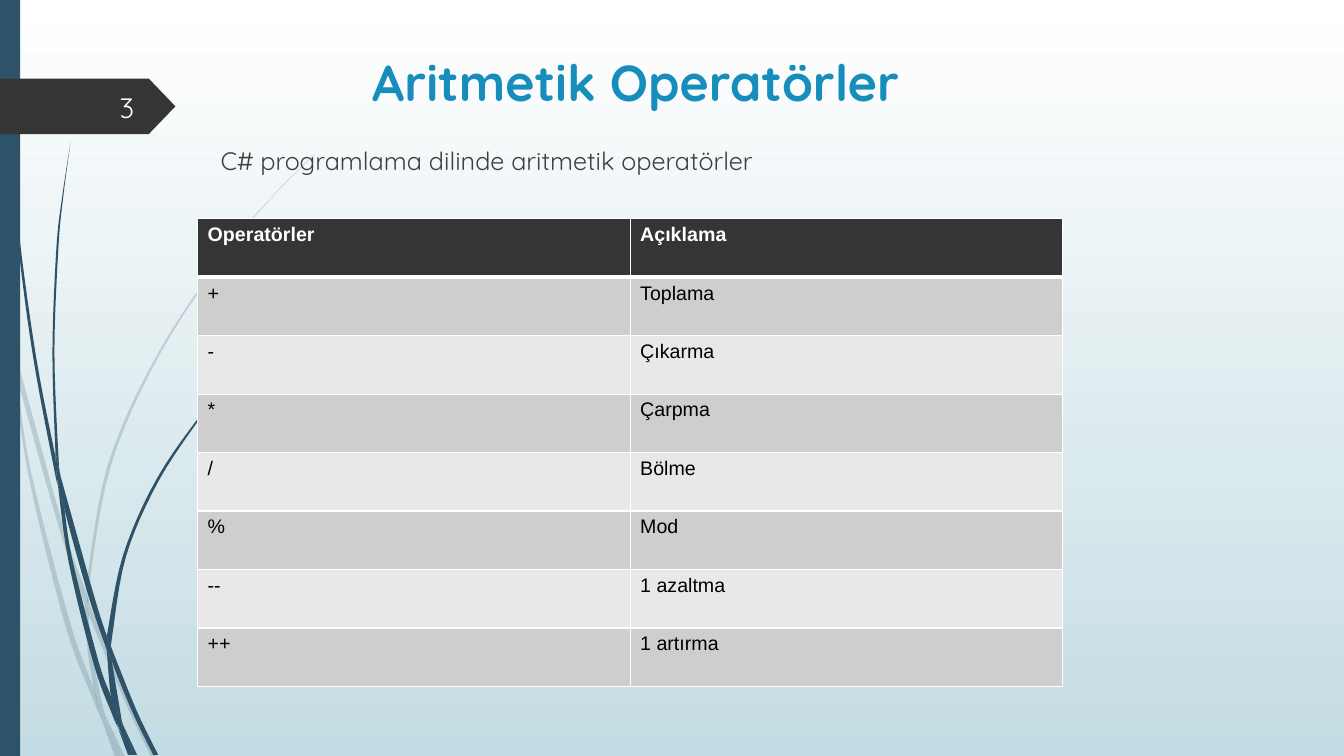
from lxml import etree
from pptx import Presentation
from pptx import util as u
from pptx.dml.color import RGBColor
from pptx.enum import shapes, text
from pptx.oxml.ns import qn

NAVY = RGBColor(0x2E, 0x53, 0x69)
DARK = RGBColor(0x35, 0x35, 0x35)
BLUE = RGBColor(0x16, 0x8D, 0xBA)
GREY = RGBColor(0x3F, 0x3F, 0x3F)
PALE = RGBColor(0xFE, 0xFF, 0xFF)
MIST = RGBColor(0xC4, 0xDC, 0xE3)
WHITE = RGBColor(0xFF, 0xFF, 0xFF)
BLACK = RGBColor(0, 0, 0)
BANDS = (RGBColor(0xCE, 0xCE, 0xCE), RGBColor(0xE8, 0xE8, 0xE8))
FONT = "Quicksand"

# Each blade of grass is a list of edges; each edge is a smooth run of points.
FAINT = [
    [[(0.11, 3.5), (0.09, 3.22), (0, 2.82)], [(0, 2.99), (0.1, 3.44)]],
    [[(0.14, 3.45), (0.62, 5.2), (0.85, 5.86)],
     [(0.84, 5.99), (0.58, 5.22), (0.17, 3.76)]],
    [[(0.88, 6.1), (1.23, 6.94), (1.5, 7.51)],
     [(1.55, 7.51), (1.27, 6.92), (0.92, 6.07), (0.88, 5.96)]],
    [[(1.19, 7.51), (1.24, 7.51)], [(1.05, 7.11)]],
    [[(0.11, 3.5), (0.28, 4.7), (0.65, 6.21), (0.92, 6.93), (1.01, 7.14)],
     [(0.99, 7.07), (0.93, 6.83), (0.7, 6.19), (0.31, 4.69), (0.17, 3.76)]],
    [[(0.84, 5.99), (0.87, 6.46), (0.93, 6.83)],
     [(0.96, 6.92), (1.05, 7.11)],
     [(1.03, 7.06), (0.91, 6.46), (0.88, 6.08)]],
    [[(0.88, 5.96), (0.88, 5.84), (1.1, 4.62), (1.6, 3.49), (2.29, 2.45),
      (2.68, 1.98), (2.9, 1.75), (3.12, 1.54)],
     [(3.12, 1.53), (2.89, 1.75), (2.68, 1.97), (2.28, 2.44), (1.58, 3.48),
      (1.07, 4.61), (0.85, 5.84)]],
    [[(1.01, 7.14), (1.14, 7.51)], [(1.19, 7.51)]],
    [[(0.88, 6.1), (0.88, 5.96)], [(0.85, 5.86), (0.84, 5.99)]],
    [[(0.93, 6.83), (0.99, 7.07), (1.01, 7.14), (1.19, 7.51)],
     [(1.05, 7.11), (0.96, 6.92)]],
]
SOLID = [
    [[(0.04, 0.48), (0.07, 1.1), (0.17, 2.33), (0.33, 3.55), (0.56, 4.77)],
     [(0.57, 4.81), (0.55, 4.53)],
     [(0.55, 4.53), (0.36, 3.55), (0.19, 2.32), (0.08, 1.09), (0.05, 0.48),
      (0.04, 0)], [(0.03, 0)]],
    [[(0.6, 4.72), (0.64, 5.05), (0.88, 5.92), (1.06, 6.45)],
     [(1.06, 6.31), (0.93, 5.9), (0.6, 4.72)]],
    [[(1.1, 6.41), (1.11, 6.56), (1.32, 7.08), (1.52, 7.49)],
     [(1.57, 7.49), (1.36, 7.06), (1.13, 6.49)]],
    [[(0.57, 4.77), (0.68, 5.57), (0.93, 6.59), (1.11, 7.08), (1.17, 7.22)],
     [(1.16, 7.17), (1.1, 6.91), (0.98, 6.57), (0.72, 5.56), (0.64, 5.05)]],
    [[(0.7, 1.41), (0.62, 1.93), (0.56, 2.45), (0.52, 3.49), (0.55, 4.49)],
     [(0.6, 4.72), (0.58, 4.53), (0.54, 3.49), (0.58, 2.45), (0.63, 1.93),
      (0.7, 1.41)]],
    [[(1.33, 7.49), (1.36, 7.49)], [(1.22, 7.19)]],
    [[(0.55, 4.53), (0.57, 4.77), (0.64, 5.05)], [(0.6, 4.72), (0.55, 4.49)]],
    [[(1.11, 6.33), (1.25, 5.52), (1.58, 4.76), (2.05, 4.06), (2.31, 3.74),
      (2.45, 3.59), (2.61, 3.44)],
     [(2.6, 3.44), (2.45, 3.58), (2.31, 3.73), (2.04, 4.05), (1.56, 4.74),
      (1.22, 5.51), (1.06, 6.31)], [(1.1, 6.41)]],
    [[(1.17, 7.22), (1.27, 7.49)], [(1.31, 7.49)]],
    [[(1.06, 6.45), (1.1, 6.91), (1.16, 7.06), (1.22, 7.19)],
     [(1.21, 7.16), (1.11, 6.56)]],
    [[(1.06, 6.45), (1.11, 6.56)], [(1.1, 6.41), (1.06, 6.31)]],
    [[(1.1, 6.91), (1.16, 7.17), (1.3, 7.49)],
     [(1.33, 7.49), (1.22, 7.19), (1.16, 7.06)]],
]

ROWS = [("Operatörler", "Açıklama"), ("+", "Toplama"), ("-", "Çıkarma"),
        ("*", "Çarpma"), ("/", "Bölme"), ("%", "Mod"),
        ("--", "1 azaltma"), ("++", "1 artırma")]


def smooth(edge, steps=6):
    """Points of a Catmull-Rom curve through the edge."""
    ends = [edge[0], *edge, edge[-1]]
    curve = [edge[0]]
    for a, b, c, d in zip(ends, ends[1:], ends[2:], ends[3:]):
        for t in (i / steps for i in range(1, steps + 1)):
            curve.append(tuple(
                q + t * (r - p) / 2 + t * t * (2 * p - 5 * q + 4 * r - s) / 2
                + t ** 3 * (3 * q - p - 3 * r + s) / 2
                for p, q, r, s in zip(a, b, c, d)))
    return curve


def paint(shape, color, alpha=100):
    shape.shadow.inherit = False
    shape.fill.solid()
    shape.fill.fore_color.rgb = color
    shape.line.fill.background()
    if alpha < 100:
        tone = shape.fill._xPr.find(".//" + qn("a:srgbClr"))
        etree.SubElement(tone, qn("a:alpha"), val=str(alpha * 1000))


def grass(slide, blades, alpha):
    for blade in blades:
        dots = [(u.Inches(x), u.Inches(y))
                for edge in blade for x, y in smooth(edge)]
        pen = slide.shapes.build_freeform(*dots[0])
        pen.add_line_segments(dots[1:], close=True)
        paint(pen.convert_to_shape(), NAVY, alpha)


def place(shape, box):
    shape.left, shape.top, shape.width, shape.height = map(u.Inches, box)


def write(frame, words, size, color, align=None, bold=False, font=FONT):
    para = frame.paragraphs[0]
    para.alignment = align
    run = para.add_run()
    run.text = words
    run.font.size, run.font.name, run.font.bold = u.Pt(size), font, bold
    run.font.color.rgb = color
    return para


def label(slide, box, *style, anchor=text.MSO_ANCHOR.TOP):
    note = slide.shapes.add_textbox(*map(u.Inches, box))
    note.text_frame.word_wrap = True
    note.text_frame.vertical_anchor = anchor
    return write(note.text_frame, *style)


def backdrop(slide):
    fill = slide.background.fill
    fill.gradient()
    fill.gradient_angle = 270
    for stop, color in zip(fill.gradient_stops, (WHITE, MIST)):
        stop.color.rgb = color
    grass(slide, FAINT, 20)
    grass(slide, SOLID, 100)
    kinds = shapes.MSO_SHAPE
    for kind, box, color in (
            (kinds.RECTANGLE, (0, 0, 0.2, 7.5), NAVY),
            (kinds.PENTAGON, (0, 0.78, 1.74, 0.55), DARK)):
        part = slide.shapes.add_shape(kind, *map(u.Inches, box))
        paint(part, color)
    part.adjustments[0] = 0.48


def heading(slide, box):
    title = slide.shapes.title
    place(title, box)
    title.text_frame.vertical_anchor = text.MSO_ANCHOR.TOP
    write(title.text_frame, "Aritmetik Operatörler", 36, BLUE,
          text.PP_ALIGN.CENTER, True)


def border(cell, sides):
    """Draw white cell borders; sides maps L, R, T, B to points."""
    props = cell._tc.get_or_add_tcPr()
    for side, width in sides.items():
        line = etree.SubElement(props, qn("a:ln" + side),
                                w=str(u.Pt(width)))
        fill = etree.SubElement(line, qn("a:solidFill"))
        etree.SubElement(fill, qn("a:srgbClr"), val=str(WHITE))


def chart(slide, box):
    """Table of operators with a dark header and banded rows."""
    grid = slide.shapes.add_table(len(ROWS), 2, *map(u.Inches, box)).table
    for r, row in enumerate(ROWS):
        head = r == 0
        for c, words in enumerate(row):
            cell = grid.cell(r, c)
            border(cell, {"L": 1, "R": 1, "T": 3 if r == 1 else 1,
                          "B": 3 if head else 1})
            cell.fill.solid()
            cell.fill.fore_color.rgb = DARK if head else BANDS[(r - 1) % 2]
            write(cell.text_frame, words, 14, WHITE if head else BLACK,
                  bold=head, font="Arial")


def main():
    deck = Presentation()
    deck.slide_width, deck.slide_height = u.Inches(13.33), u.Inches(7.5)
    slide = deck.slides.add_slide(deck.slide_layouts[5])
    backdrop(slide)
    heading(slide, (1.43, 0.46, 9.75, 1.4))
    label(slide, (0.58, 0.86, 0.85, 0.4), "3", 20, PALE,
          text.PP_ALIGN.RIGHT, anchor=text.MSO_ANCHOR.MIDDLE)
    intro = label(slide, (1.96, 1.39, 8.58, 5.42),
                  "C# programlama dilinde aritmetik operatörler", 18, GREY)
    intro._p.get_or_add_pPr().set("marL", str(u.Inches(0.13)))
    chart(slide, (1.96, 2.17, 8.58, 4.64))
    deck.save("out.pptx")


if __name__ == "__main__":
    main()
